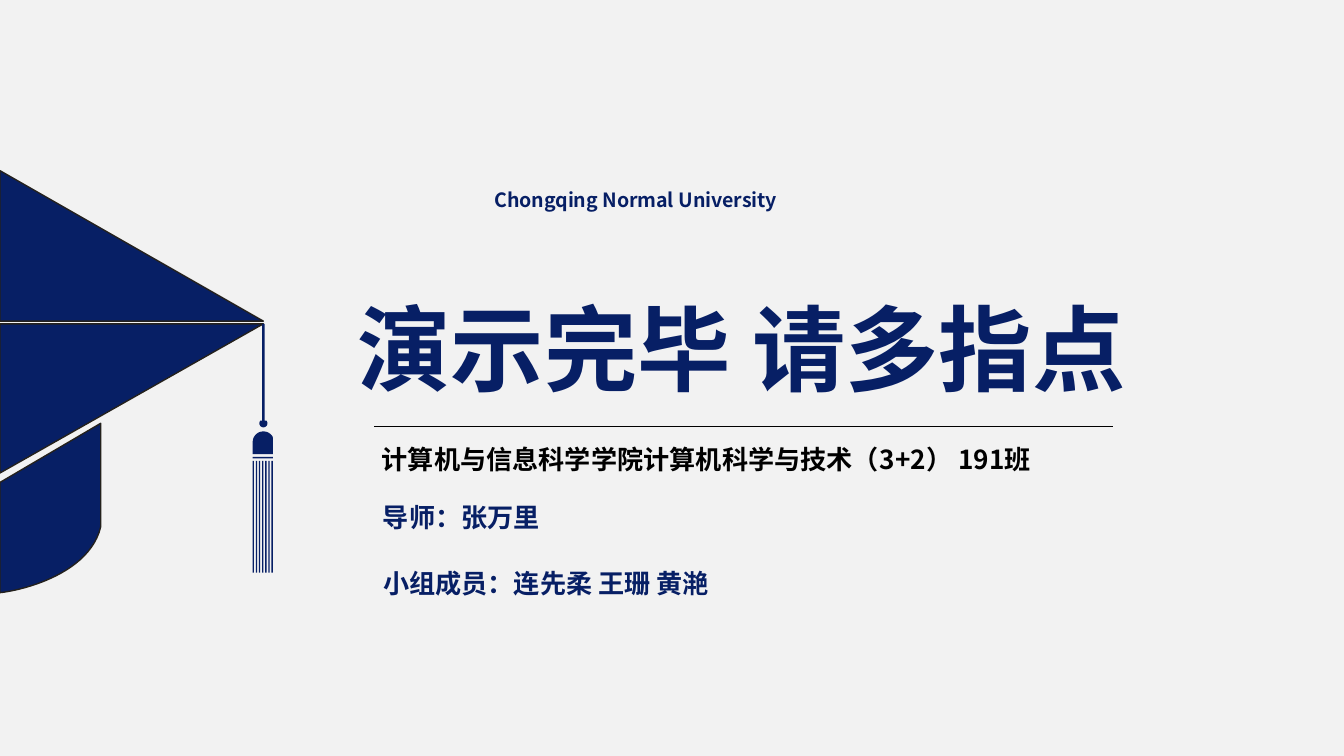
"""Build the closing slide of a class presentation, with a graduation cap."""
import math

import pptx
import pptx.dml.color
import pptx.enum.shapes
import pptx.enum.text
import pptx.oxml
import pptx.oxml.ns
import pptx.util
from pptx.util import Inches

NAVY = "071F65"
FONT = "Noto Sans CJK SC"


def rgb(value):
    return pptx.dml.color.RGBColor.from_string(value)


def write(shape, text, size, color=NAVY, wrap=True, inset_x=0.07, inset_y=0.04):
    frame = shape.text_frame
    frame.auto_size = pptx.enum.text.MSO_AUTO_SIZE.NONE
    frame.word_wrap = wrap
    frame.vertical_anchor = pptx.enum.text.MSO_ANCHOR.MIDDLE
    frame.margin_left = frame.margin_right = Inches(inset_x)
    frame.margin_top = frame.margin_bottom = Inches(inset_y)
    paragraph = frame.paragraphs[0]
    paragraph.alignment = pptx.enum.text.PP_ALIGN.LEFT
    run = paragraph.add_run()
    run.text = text
    run.font.size = pptx.util.Pt(size)
    run.font.bold = True
    run.font.name = FONT
    run.font.color.rgb = rgb(color)
    east_asian = pptx.oxml.parse_xml(f'<a:ea {pptx.oxml.ns.nsdecls("a")} typeface="{FONT}"/>')
    run.font._element.find(pptx.oxml.ns.qn("a:latin")).addnext(east_asian)


deck = pptx.Presentation()
deck.slide_width = Inches(10)
deck.slide_height = Inches(10) * 9 // 16
slide = deck.slides.add_slide(deck.slide_layouts[5])
slide.background.fill.solid()
slide.background.fill.fore_color.rgb = rgb("F2F2F2")

title = slide.shapes.title
title.left, title.top = Inches(2.59), Inches(2.12)
title.width, title.height = Inches(6.13), Inches(0.92)
write(title, "演示完毕 请多指点", 50)

for left, top, width, height, text, style in (
    (3.58, 1.32, 2.76, 0.33, "Chongqing Normal University",
     {"size": 10.5, "inset_x": 0.1, "inset_y": 0.05}),
    (2.77, 3.26, 5.52, 0.31, "计算机与信息科学学院计算机科学与技术（3+2） 191班",
     {"size": 14, "color": "000000"}),
    (2.78, 3.69, 1.33, 0.31, "导师：张万里", {"size": 14, "wrap": False}),
    (2.78, 4.18, 2.62, 0.31, "小组成员：连先柔 王珊 黄滟", {"size": 14, "wrap": False}),
):
    box = slide.shapes.add_textbox(Inches(left), Inches(top), Inches(width), Inches(height))
    write(box, text, **style)

divider = slide.shapes.add_connector(
    pptx.enum.shapes.MSO_CONNECTOR.STRAIGHT,
    Inches(8.28), Inches(3.17), Inches(2.78), Inches(3.17))
divider.line.color.rgb = rgb("000000")
divider.line.width = pptx.util.Pt(0.5)
divider._element.spPr.append(
    pptx.oxml.parse_xml(f'<a:effectLst {pptx.oxml.ns.nsdecls("a")}/>'))

hem_controls = ((0.75, 3.92), (0.67, 4.26), (0.19, 4.39), (0, 4.41))
hem = []
for step in range(25):
    t = step / 24
    weights = ((1 - t) ** 3, 3 * t * (1 - t) ** 2, 3 * t ** 2 * (1 - t), t ** 3)
    hem.append(tuple(sum(weight * point[axis] for weight, point in zip(weights, hem_controls))
                     for axis in (0, 1)))
cap = [
    [(0, 1.27), (1.96, 2.39), (0, 2.39)],
    [(1.96, 2.41), (0, 3.52), (0, 2.41)],
    hem + [(0, 3.59), (0.75, 3.15)],
]

bars = [(1.95, 2.41, 1.97, 3.13), (1.88, 3.4, 2.03, 3.41)]
for strand in range(7):
    left = 1.88 + strand * 0.14 / 6
    bars.append((left, 3.43, left + 0.01, 4.26))
tassel = [[(left, top), (right, top), (right, bottom), (left, bottom)]
          for left, top, right, bottom in bars]
for center_x, center_y, radius_x, radius_y, start, base in (
    (1.96, 3.15, 0.03, 0.03, 0, []),
    (1.96, 3.29, 0.08, 0.08, 180, [(2.03, 3.38), (1.88, 3.38)]),
):
    arc = [(center_x + radius_x * math.cos(math.radians(angle)),
            center_y + radius_y * math.sin(math.radians(angle)))
           for angle in range(start, 361, 10)]
    tassel.append([(min(max(x, 1.88), 2.03), max(y, 3.13)) for x, y in arc] + base)

for contours, edge in ((cap, "24211D"), (tassel, None)):
    builder = None
    for contour in contours:
        points = [(Inches(x), Inches(y)) for x, y in contour]
        if builder is None:
            builder = slide.shapes.build_freeform(*points[0])
        else:
            builder.move_to(*points[0])
        builder.add_line_segments(points[1:], close=True)
    outline = builder.convert_to_shape()
    outline.shadow.inherit = False
    outline.fill.solid()
    outline.fill.fore_color.rgb = rgb(NAVY)
    if edge:
        outline.line.color.rgb = rgb(edge)
        outline.line.width = pptx.util.Pt(0)
    else:
        outline.line.fill.background()

deck.save("out.pptx")
